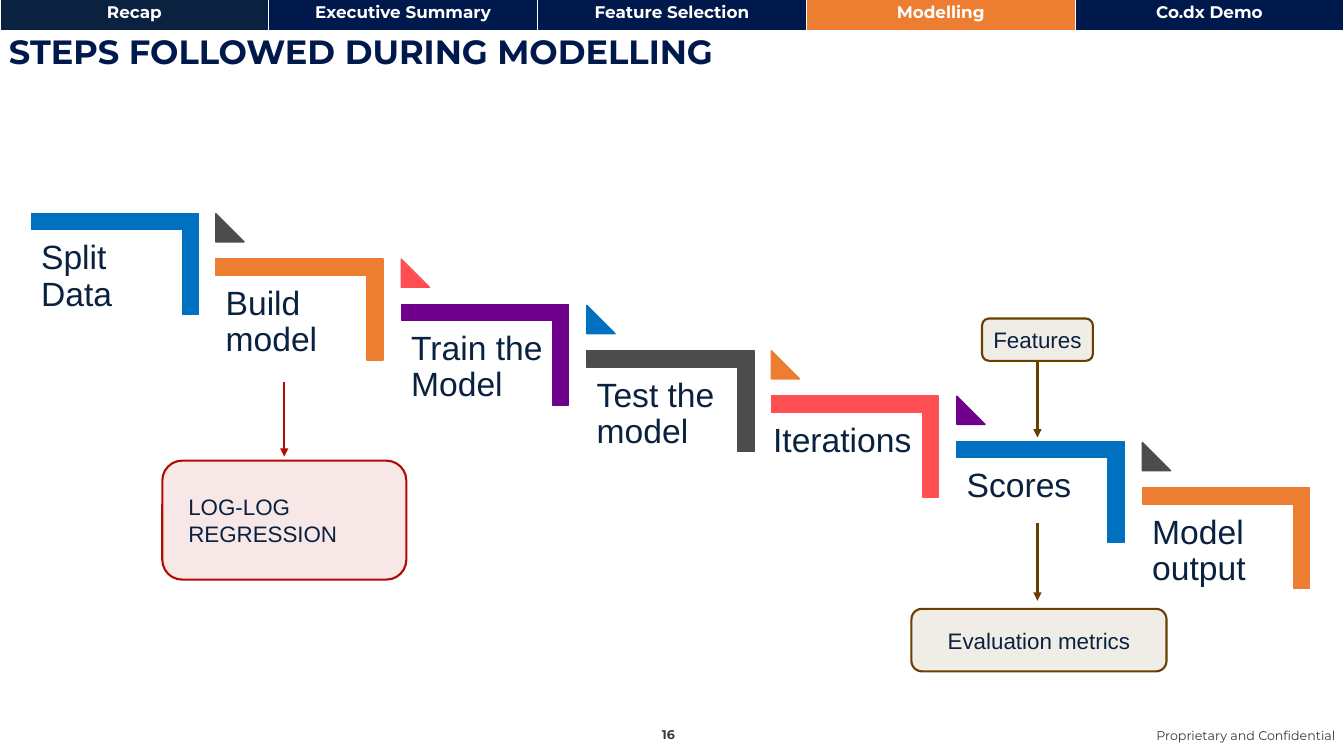
"""Build the slide showing the steps followed during modelling."""
import pptx
import pptx.util
import pptx.dml.color
import pptx.enum.shapes
import pptx.enum.text
import pptx.oxml
import pptx.oxml.ns

RGBColor = pptx.dml.color.RGBColor
SHAPE = pptx.enum.shapes.MSO_SHAPE
ALIGN = pptx.enum.text.PP_ALIGN
ANCHOR = pptx.enum.text.MSO_ANCHOR

PX = 9144
SLIDE_WIDTH, SLIDE_HEIGHT = 1333, 750

WHITE = RGBColor(0xFF, 0xFF, 0xFF)
INK = RGBColor(0x0A, 0x22, 0x40)
NAVY = RGBColor(0x00, 0x19, 0x4C)
FOOTER_GREY = RGBColor(0x39, 0x39, 0x39)
BLUE = RGBColor(0x00, 0x70, 0xC0)
ORANGE = RGBColor(0xED, 0x7D, 0x31)
PURPLE = RGBColor(0x6E, 0x00, 0x8B)
GREY = RGBColor(0x4C, 0x4C, 0x4C)
CORAL = RGBColor(0xFF, 0x4F, 0x53)
RED = RGBColor(0xB1, 0x0C, 0x00)
PALE_RED = RGBColor(0xF7, 0xE7, 0xE6)
BROWN = RGBColor(0x69, 0x3F, 0x00)
PALE_BROWN = RGBColor(0xF0, 0xEC, 0xE6)

TABS = [("Recap", INK), ("Executive Summary", NAVY), ("Feature Selection", NAVY),
        ("Modelling", ORANGE), ("Co.dx Demo", NAVY)]
STEPS = [("Split Data", BLUE, None), ("Build model", ORANGE, GREY),
         ("Train the Model", PURPLE, CORAL), ("Test the model", GREY, BLUE),
         ("Iterations", CORAL, ORANGE), ("Scores", BLUE, PURPLE),
         ("Model output", ORANGE, GREY)]
STAIR_LEFT, STAIR_TOP = 31, 212
STAIR_RUN, STAIR_DROP = 1102, 272
STAIR_WIDTH, STAIR_HEIGHT, STAIR_BAR = 166, 100, 16


def px(*lengths):
    """Turn px lengths into EMU."""
    return [pptx.util.Emu(length * PX) for length in lengths]


def write(frame, text, size=16, font="Arial", color=INK, bold=False,
          align=ALIGN.LEFT, anchor=ANCHOR.TOP, insets=(10, 5, 10, 5), spacing=None):
    """Put one formatted paragraph in a text frame."""
    frame.word_wrap = True
    frame.vertical_anchor = anchor
    (frame.margin_left, frame.margin_top,
     frame.margin_right, frame.margin_bottom) = px(*insets)
    para = frame.paragraphs[0]
    para.alignment = align
    if spacing:
        para.line_spacing = spacing
    span = para.add_run()
    span.text = text
    span.font.name = font
    span.font.size = pptx.util.Pt(size)
    span.font.bold = bold
    span.font.color.rgb = color


def add_label(page, bounds, text, **style):
    """Add a text box."""
    box = page.shapes.add_textbox(*px(*bounds))
    write(box.text_frame, text, **style)


def paint(block, fill, line, weight=1.0):
    """Set the fill and outline of a shape."""
    block.shadow.inherit = False
    block.fill.solid()
    block.fill.fore_color.rgb = fill
    block.line.color.rgb = line
    block.line.width = pptx.util.Pt(weight)


def add_callout(page, bounds, text, fill, line, **style):
    """Add a rounded box with text."""
    callout = page.shapes.add_shape(SHAPE.ROUNDED_RECTANGLE, *px(*bounds))
    paint(callout, fill, line, 1.5)
    write(callout.text_frame, text, anchor=ANCHOR.MIDDLE, **style)
    return callout


def add_arrow(page, x, top, bottom, color, source=None):
    """Add a downward arrow, joined to the bottom of a source box if given."""
    arrow = page.shapes.add_connector(
        pptx.enum.shapes.MSO_CONNECTOR.STRAIGHT, *px(x, top, x, bottom))
    if source is not None:
        arrow.begin_connect(source, 2)
    arrow.line.color.rgb = color
    arrow.line.width = pptx.util.Pt(1.5)
    outline = arrow.line._get_or_add_ln()
    head = pptx.oxml.ns.qn("a:tailEnd")
    outline.append(outline.makeelement(head, {"type": "triangle"}))
    effects = pptx.oxml.ns.qn("a:effectLst")
    outline.getparent().append(outline.makeelement(effects, {}))


def add_stair(page, left, top, color):
    """Add a bar along the top with a bar down the right side."""
    right, bottom = left + STAIR_WIDTH, top + STAIR_HEIGHT
    outline = page.shapes.build_freeform(left, top, scale=PX)
    outline.add_line_segments([
        (right, top), (right, bottom), (right - STAIR_BAR, bottom),
        (right - STAIR_BAR, top + STAIR_BAR), (left, top + STAIR_BAR)])
    paint(outline.convert_to_shape(), color, color)


def add_step(page, index, text, color, marker):
    """Add one stair with its label and the marker above it."""
    left = STAIR_LEFT + STAIR_RUN * index // (len(STEPS) - 1)
    top = STAIR_TOP + STAIR_DROP * index // (len(STEPS) - 1)
    add_stair(page, left, top, color)
    bounds = (left, top + 17, 150, 131)
    if text == "Iterations":
        bounds = (left - 8, top + 17, 164, 131)
    add_label(page, bounds, text, size=24, insets=(10, 10, 10, 10), spacing=0.9)
    if marker is not None:
        triangle = page.shapes.add_shape(SHAPE.ISOSCELES_TRIANGLE,
                                         *px(left, top - 45, 28, 28))
        paint(triangle, marker, marker)
        triangle.rotation = 90
        triangle.adjustments[0] = 1


def add_borders(cell):
    """Draw white borders round a table cell."""
    properties = cell._tc.get_or_add_tcPr()
    namespace = pptx.oxml.ns.nsdecls("a")
    for position, (side, points) in enumerate(
            [("lnL", 1), ("lnR", 1), ("lnT", 1), ("lnB", 3)]):
        properties.insert(position, pptx.oxml.parse_xml(
            f'<a:{side} {namespace} w="{points * 12700}"><a:solidFill>'
            f'<a:srgbClr val="{WHITE}"/></a:solidFill></a:{side}>'))


def add_tabs(page):
    """Add the row of section tabs."""
    frame = page.shapes.add_table(1, len(TABS), *px(0, -3, SLIDE_WIDTH, 35))
    table = frame.table
    table.first_row = table.horz_banding = False
    for index, (text, fill) in enumerate(TABS):
        cell = table.cell(0, index)
        write(cell.text_frame, text, size=12, font="Montserrat", color=WHITE,
              bold=True, align=ALIGN.CENTER)
        cell.fill.solid()
        cell.fill.fore_color.rgb = fill
        add_borders(cell)


def main():
    """Build and save the deck."""
    deck = pptx.Presentation()
    deck.slide_width, deck.slide_height = px(SLIDE_WIDTH, SLIDE_HEIGHT)
    page = deck.slides.add_slide(deck.slide_layouts[6])

    add_label(page, (633, 713, 60, 28), "16", size=9, font="Montserrat",
              color=FOOTER_GREY, bold=True, align=ALIGN.CENTER, anchor=ANCHOR.BOTTOM)
    add_label(page, (1133, 717, 201, 28), "Proprietary and Confidential", size=9,
              font="Montserrat", color=FOOTER_GREY, align=ALIGN.RIGHT)
    for index, step in enumerate(STEPS):
        add_step(page, index, *step)

    add_arrow(page, 282, 379, 453, RED)
    add_callout(page, (161, 457, 242, 118), "LOG-LOG REGRESSION", PALE_RED, RED,
                insets=(20, 0, 0, 0))
    add_arrow(page, 1029, 519, 596, BROWN)
    centred = {"align": ALIGN.CENTER, "insets": (0, 0, 0, 0)}
    add_callout(page, (904, 604, 253, 62), "Evaluation metrics", PALE_BROWN, BROWN,
                **centred)
    features = add_callout(page, (974, 316, 110, 42), "Features", PALE_BROWN, BROWN,
                           **centred)
    add_arrow(page, 1029, 358, 434, BROWN, source=features)

    add_label(page, (-1, 22, 822, 54), "STEPS FOLLOWED DURING MODELLING", size=24,
              font="Montserrat", color=NAVY, bold=True, anchor=ANCHOR.BOTTOM,
              spacing=0.9)
    add_tabs(page)
    deck.save("out.pptx")


if __name__ == "__main__":
    main()
